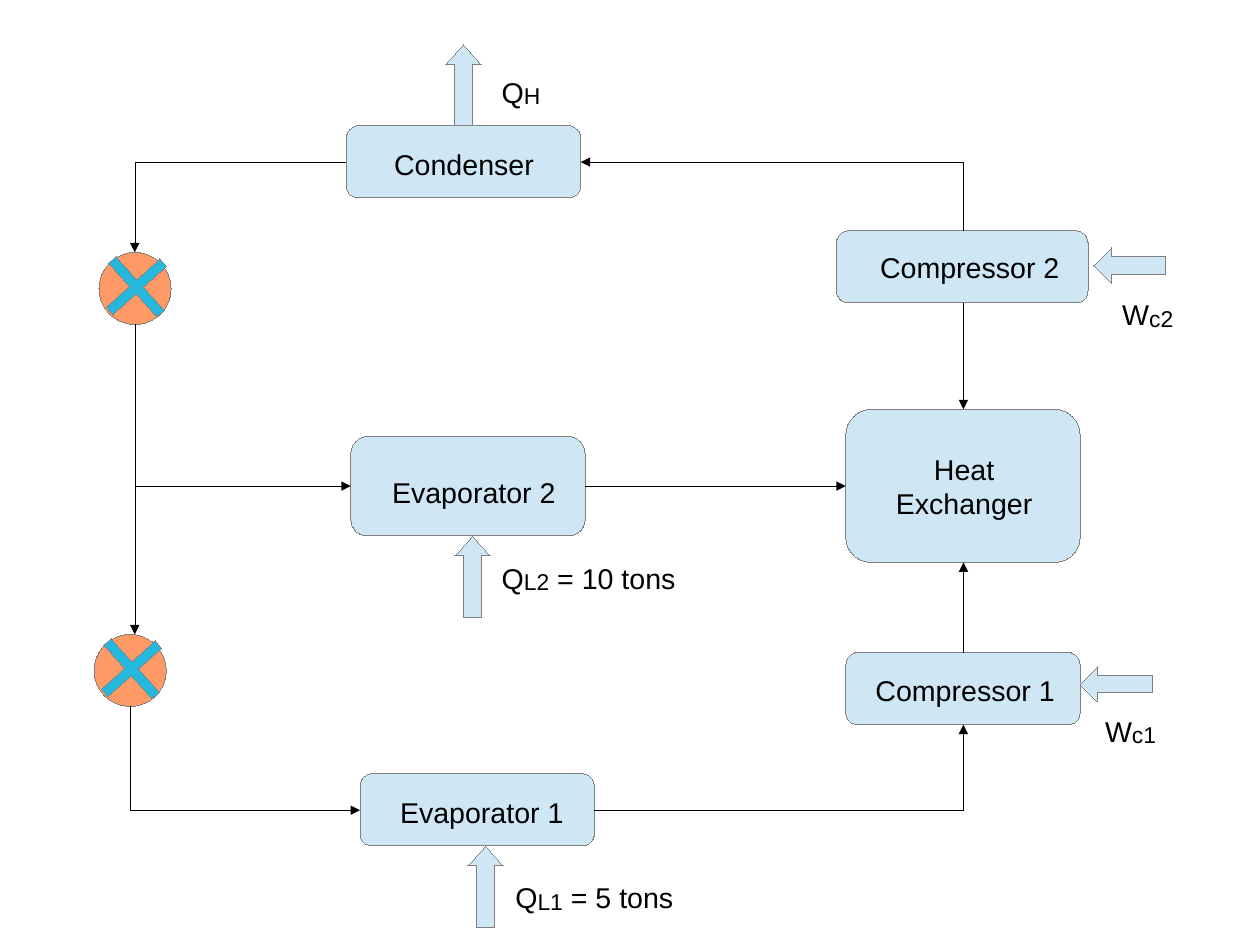
from lxml import etree
from pptx import Presentation
from pptx.dml.color import RGBColor
from pptx.enum.shapes import MSO_CONNECTOR, MSO_SHAPE
from pptx.enum.text import MSO_AUTO_SIZE, PP_ALIGN
from pptx.oxml.ns import qn
from pptx.util import Pt

ROUND = MSO_SHAPE.ROUNDED_RECTANGLE
OVAL = MSO_SHAPE.OVAL
CROSS = MSO_SHAPE.CROSS
UP = MSO_SHAPE.UP_ARROW
LEFT = MSO_SHAPE.LEFT_ARROW
STRAIGHT = MSO_CONNECTOR.STRAIGHT
ELBOW = MSO_CONNECTOR.ELBOW
FIT = MSO_AUTO_SIZE.SHAPE_TO_FIT_TEXT
MID = PP_ALIGN.CENTER
START = PP_ALIGN.LEFT

COLORS = {"box": "CFE7F5", "edge": "808080", "valve": "FF9966",
          "cross": "23B8DC", "ink": "000000"}
FONT = "Arial"
SIZE = 18
SUB = 24.8
WIDE = 147.6
UNIT = 45.4
THIN = 22.3
SHAFT = 306.2
FEED = 84.9
HUB = 606.9


def color(name):
    return RGBColor.from_string(COLORS[name])


def set_line(item, name):
    item.line.color.rgb = color(name)
    line = item._element.spPr.find(qn("a:ln"))
    line.set("w", "0")
    return line


def add_form(slide, kind, box, fill, *ratios):
    form = slide.shapes.add_shape(kind, *map(Pt, box))
    form.shadow.inherit = False
    form.fill.solid()
    form.fill.fore_color.rgb = color(fill)
    set_line(form, "edge")
    for index, ratio in enumerate(ratios):
        form.adjustments[index] = ratio
    return form


def add_text(slide, box, lines, align):
    frame = slide.shapes.add_textbox(*map(Pt, box)).text_frame
    frame.word_wrap = False
    frame.auto_size = FIT
    for index, line in enumerate(lines):
        para = frame.paragraphs[0] if index == 0 else frame.add_paragraph()
        para.alignment = align
        for text, low in line:
            run = para.add_run()
            run.text = text
            run.font.name = FONT
            run.font.size = Pt(SUB if low else SIZE)
            run.font.color.rgb = color("ink")
            if low:
                run.font._element.set("baseline", "-4000")


def add_node(slide, box, text_box, *words):
    add_form(slide, ROUND, box, "box", 0.167)
    add_text(slide, text_box, [[(word, False)] for word in words], MID)


def add_label(slide, left, top, width, main, low, rest=""):
    parts = [(main, False), (low, True)]
    if rest:
        parts.append((rest, False))
    add_text(slide, (left, top, width, 30.2), [parts], START)


def add_valve(slide, left, top):
    add_form(slide, OVAL, (left, top, UNIT, UNIT), "valve")
    cross = add_form(slide, CROSS, (left + 0.9, top - 1.1, UNIT, UNIT),
                     "cross", 0.432)
    cross.rotation = 48


def add_pipe(slide, start, end, tip="tailEnd"):
    bent = start[0] != end[0] and start[1] != end[1]
    pipe = slide.shapes.add_connector(ELBOW if bent else STRAIGHT,
                                      *map(Pt, start + end))
    line = set_line(pipe, "ink")
    etree.SubElement(line, qn("a:" + tip), type="triangle")
    props = pipe._element.spPr
    if bent:
        props.find(qn("a:prstGeom")).set("prst", "bentConnector2")
    etree.SubElement(props, qn("a:effectLst"))


def main():
    deck = Presentation()
    deck.slide_width = Pt(793.7)
    deck.slide_height = Pt(595.3)
    slide = deck.slides.add_slide(deck.slide_layouts[6])

    nodes = [
        ((218.2, 79.2, WIDE, UNIT), (238.3, 89.3, 108, 27.4), ["Condenser"]),
        ((532.8, 257.8, WIDE, 96.5), (546.8, 281.2, 121, 47.5),
         ["Heat", "Exchanger"]),
        ((532.8, 411.1, WIDE, UNIT), (544.3, 420.5, 127.4, 27.4),
         ["Compressor 1"]),
        ((527, 145.4, 158.4, UNIT), (547.2, 154.1, 127.4, 27.4),
         ["Compressor 2"]),
        ((226.8, 487.4, WIDE, UNIT), (244.1, 497.2, 118.8, 27.4),
         ["Evaporator 1"]),
        ((221, 275, WIDE, 62.6), (239.8, 295.9, 117.4, 27.4),
         ["Evaporator 2"]),
    ]
    for box, text_box, words in nodes:
        add_node(slide, box, text_box, *words)

    for left, top in [(62.4, 159), (59.3, 399.6)]:
        add_valve(slide, left, top)

    pipes = [
        ((218.2, 102.1), (FEED, 159)),
        ((226.8, 510.4), (82, 445), "headEnd"),
        ((374.4, 510.4), (HUB, 456.5)),
        ((HUB, 411.1), (HUB, 354.3)),
        ((HUB, 190.8), (HUB, 257.8)),
        ((365.8, 102.1), (HUB, 145.4), "headEnd"),
        ((368.6, SHAFT), (532.8, SHAFT)),
        ((FEED, 204.4), (FEED, 399.6)),
        ((FEED, SHAFT), (221, SHAFT)),
    ]
    for pipe in pipes:
        add_pipe(slide, *pipe)

    for left, top in [(294.8, 533), (286.6, 337.7), (280.8, 28.1)]:
        add_form(slide, UP, (left, top, THIN, 51.1), "box", 0.5, 0.562)
    for left, top in [(689, 156.2), (680.4, 419.8)]:
        add_form(slide, LEFT, (left, top, UNIT, THIN), "box", 0.5, 0.5)

    labels = [
        (317.5, 544, 113.8, "Q", "L1", " = 5 tons"),
        (308.9, 342.7, 123.8, "Q", "L2", " = 10 tons"),
        (308.9, 36.7, 43.9, "Q", "H"),
        (699.8, 176.7, 51.1, "W", "c2"),
        (689, 439.2, 51.1, "W", "c1"),
    ]
    for label in labels:
        add_label(slide, *label)

    deck.save("out.pptx")


if __name__ == "__main__":
    main()
